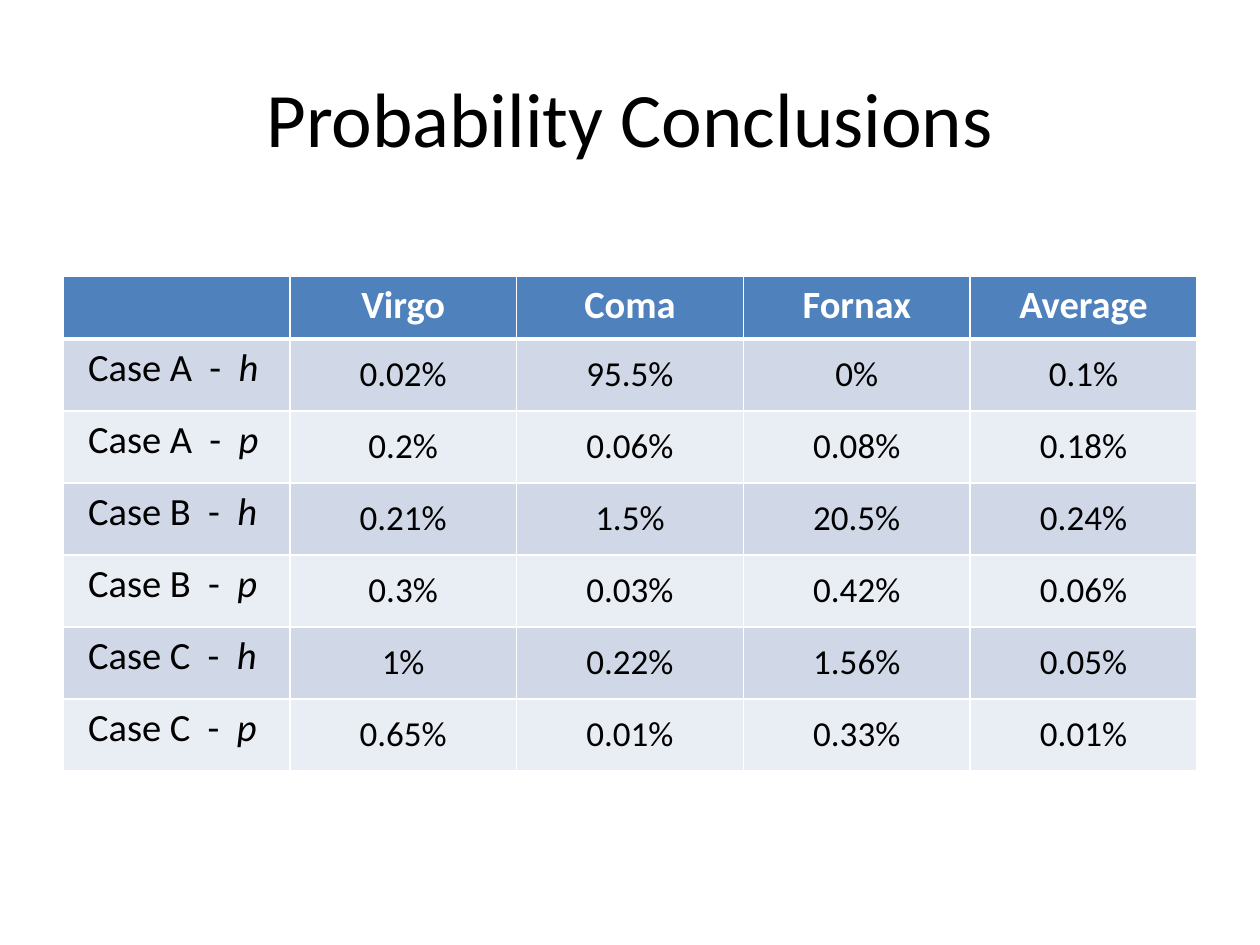
"""Build a slide with a table of probability conclusions by case and cluster."""
from lxml import etree
from pptx import Presentation
from pptx.dml.color import RGBColor
from pptx.enum.text import MSO_ANCHOR, PP_ALIGN
from pptx.oxml.ns import qn
from pptx.util import Pt

LEFT, CENTER = PP_ALIGN.LEFT, PP_ALIGN.CENTER
TOP, MIDDLE = MSO_ANCHOR.TOP, MSO_ANCHOR.MIDDLE

TITLE = "Probability Conclusions"
CLUSTERS = ["Virgo", "Coma", "Fornax", "Average"]
CASES = [
    ("A", "h", ["0.02%", "95.5%", "0%", "0.1%"]),
    ("A", "p", ["0.2%", "0.06%", "0.08%", "0.18%"]),
    ("B", "h", ["0.21%", "1.5%", "20.5%", "0.24%"]),
    ("B", "p", ["0.3%", "0.03%", "0.42%", "0.06%"]),
    ("C", "h", ["1%", "0.22%", "1.56%", "0.05%"]),
    ("C", "p", ["0.65%", "0.01%", "0.33%", "0.01%"]),
]
THEME = {
    "font": "Calibri",
    "title": 44, "label": 22, "value": 20,
    "text": "000000", "inverse": "FFFFFF", "border": "FFFFFF",
    "header": "4F81BD", "bands": ["D0D8E8", "E9EDF4"],
}
TITLE_BOX = (36, 21.6, 648, 90)
TABLE_LEFT, TABLE_TOP, TABLE_WIDTH = 36, 157.7, 648
HEADER_HEIGHT, ROW_HEIGHT = 36, 41.15
THIN, THICK = 1, 3


def add_run(p, text, size, color, bold=False, italic=False):
    r = p.add_run()
    r.text = text
    r.font.name = THEME["font"]
    r.font.size = Pt(size)
    r.font.color.rgb = RGBColor.from_string(color)
    r.font.bold = bold
    r.font.italic = italic


def add_borders(cell, top, bottom):
    tc_pr = cell._tc.get_or_add_tcPr()
    for side, width in (("L", THIN), ("R", THIN), ("T", top), ("B", bottom)):
        ln = etree.SubElement(tc_pr, qn(f"a:ln{side}"), w=str(Pt(width)))
        fill = etree.SubElement(ln, qn("a:solidFill"))
        etree.SubElement(fill, qn("a:srgbClr"), val=THEME["border"])


def format_cell(cell, fill, align, anchor, top=THIN, bottom=THIN):
    add_borders(cell, top, bottom)
    cell.fill.solid()
    cell.fill.fore_color.rgb = RGBColor.from_string(fill)
    cell.vertical_anchor = anchor
    cell.margin_left = cell.margin_right = Pt(14.4)
    cell.margin_top = cell.margin_bottom = Pt(3.6)
    p = cell.text_frame.paragraphs[0]
    p.alignment = align
    return p


def add_title(s):
    sp = s.shapes.title
    sp.left, sp.top, sp.width, sp.height = map(Pt, TITLE_BOX)
    tf = sp.text_frame
    tf.vertical_anchor = MIDDLE
    p = tf.paragraphs[0]
    p.alignment = CENTER
    add_run(p, TITLE, THEME["title"], THEME["text"])


def add_case_table(s):
    rows, cols = len(CASES) + 1, len(CLUSTERS) + 1
    height = HEADER_HEIGHT + ROW_HEIGHT * len(CASES)
    box = map(Pt, (TABLE_LEFT, TABLE_TOP, TABLE_WIDTH, height))
    table = s.shapes.add_table(rows, cols, *box).table
    for column in table.columns:
        column.width = Pt(TABLE_WIDTH / cols)
    for i, row in enumerate(table.rows):
        row.height = Pt(ROW_HEIGHT if i else HEADER_HEIGHT)

    for j, name in enumerate([""] + CLUSTERS):
        p = format_cell(table.cell(0, j), THEME["header"], CENTER, TOP, bottom=THICK)
        if name:
            add_run(p, name, THEME["label"], THEME["inverse"], bold=True)

    for i, (case, symbol, values) in enumerate(CASES, 1):
        band = THEME["bands"][(i - 1) % 2]
        top = THICK if i == 1 else THIN
        p = format_cell(table.cell(i, 0), band, LEFT, TOP, top)
        add_run(p, f"Case {case}  -  ", THEME["label"], THEME["text"])
        add_run(p, symbol, THEME["label"], THEME["text"], italic=True)
        for j, value in enumerate(values, 1):
            p = format_cell(table.cell(i, j), band, CENTER, MIDDLE, top)
            add_run(p, value, THEME["value"], THEME["text"])


def main():
    prs = Presentation()
    prs.slide_width, prs.slide_height = Pt(720), Pt(540)
    s = prs.slides.add_slide(prs.slide_layouts[5])
    add_title(s)
    add_case_table(s)
    prs.save("out.pptx")


if __name__ == "__main__":
    main()
